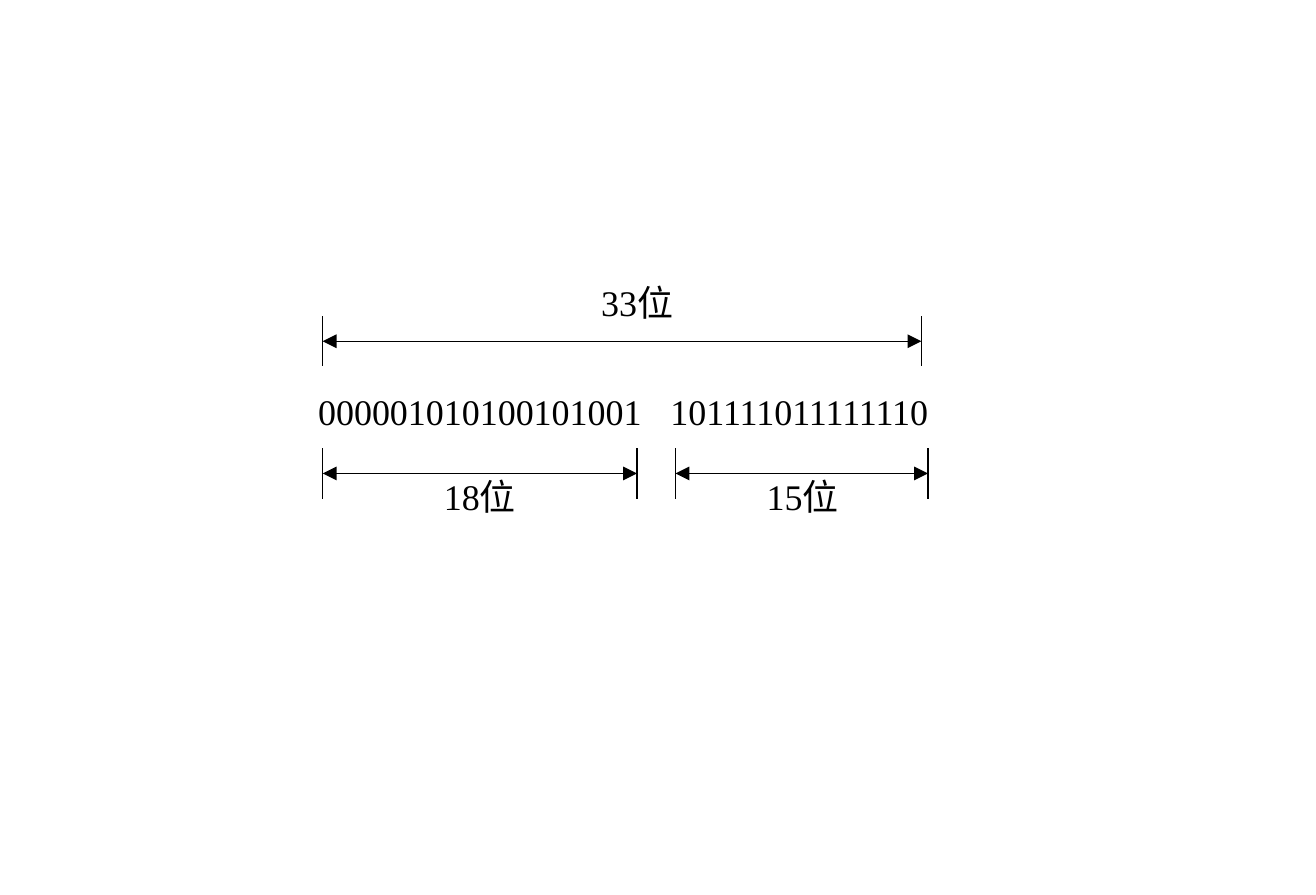
from pptx import Presentation, util as u
from pptx.dml.color import RGBColor
from pptx.enum import shapes, text
from pptx.oxml.ns import qn
from lxml import etree


def colour(hex_code):
    return RGBColor.from_string(hex_code)


class BitDiagram:
    """Draws bit strings and dimension brackets on one slide in a shared style."""

    font, size, ink, stroke = "Times New Roman", 15.5, "000000", 0.5
    tick_height = 0.3

    def __init__(self, slide):
        self.slide = slide

    def label(self, wording, centre, top, width, height):
        box = self.slide.shapes.add_textbox(
            u.Inches(centre - width / 2), u.Inches(top), u.Inches(width), u.Inches(height))
        frame = box.text_frame
        frame.word_wrap = True
        frame.vertical_anchor = text.MSO_ANCHOR.MIDDLE
        frame.margin_left = frame.margin_right = frame.margin_top = frame.margin_bottom = 0
        paragraph = frame.paragraphs[0]
        paragraph.alignment = text.PP_ALIGN.CENTER
        run = paragraph.add_run()
        run.text = wording
        run.font.name = self.font
        run.font.size = u.Pt(self.size)
        run.font.color.rgb = colour(self.ink)

    def line(self, x1, y1, x2, y2, arrows=False):
        connector = self.slide.shapes.add_connector(
            shapes.MSO_CONNECTOR.STRAIGHT,
            u.Inches(x1), u.Inches(y1), u.Inches(x2), u.Inches(y2))
        connector.line.color.rgb = colour(self.ink)
        connector.line.width = u.Pt(self.stroke)
        properties = connector._element.spPr
        if arrows:
            for end in ("a:headEnd", "a:tailEnd"):
                etree.SubElement(properties.find(qn("a:ln")), qn(end), type="triangle")
        etree.SubElement(properties, qn("a:effectLst"))

    def bracket(self, left, right, y):
        for x in (left, right):
            self.line(x, y - self.tick_height / 2, x, y + self.tick_height / 2)
        self.line(left, y, right, y, arrows=True)


def main():
    deck = Presentation()
    deck.slide_width, deck.slide_height = u.Inches(7.87), u.Inches(5.35)
    diagram = BitDiagram(deck.slides.add_slide(deck.slide_layouts[6]))

    for bits, centre in (("000001010100101001", 2.87), ("101111011111110", 4.78)):
        diagram.label(bits, centre, 2.33, 2.1, 0.26)

    for count, left, right, y, centre, label_top in (
        ("33位", 1.93, 5.51, 2.04, 3.81, 1.67),
        ("18位", 1.93, 3.81, 2.83, 2.87, 2.83),
        ("15位", 4.04, 5.55, 2.83, 4.8, 2.83),
    ):
        diagram.bracket(left, right, y)
        diagram.label(count, centre, label_top, 0.78, 0.27)

    deck.save("out.pptx")


if __name__ == "__main__":
    main()
